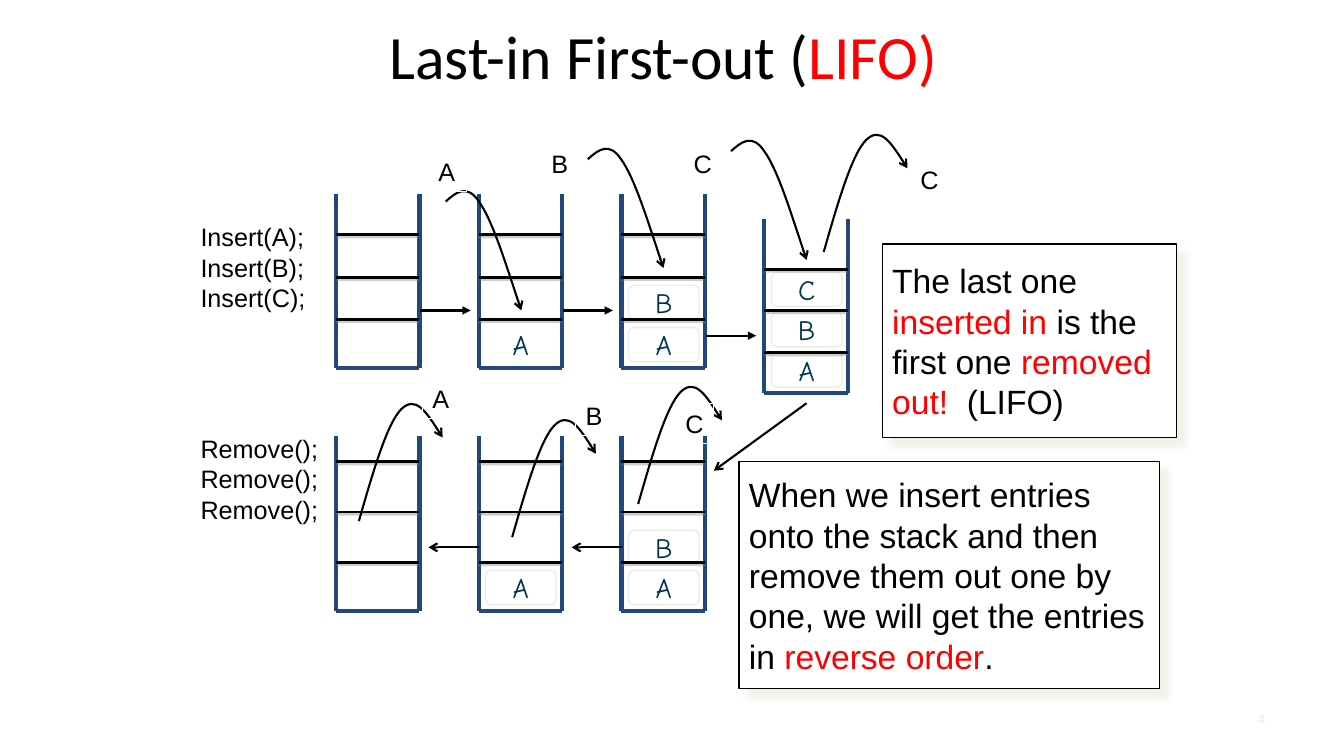
from copy import deepcopy
from dataclasses import dataclass

from lxml.etree import SubElement
from pptx import Presentation
from pptx.dml.color import RGBColor
from pptx.enum.shapes import MSO_CONNECTOR, MSO_SHAPE
from pptx.enum.text import MSO_ANCHOR, PP_ALIGN
from pptx.oxml import parse_xml
from pptx.oxml.ns import nsdecls, qn
from pptx.util import Inches, Pt

BLACK, RED, WHITE, NAVY, INK, CREAM = (
    "000000", "FF0000", "FFFFFF", "1F497D", "00354E", "EEECE1")
WIDE, TALL, PITCH, LEFT = 0.83, 1.73, 1.417, 3.33
BODY = {"name": "Arial", "size": Pt(18)}
LARGE = {"name": "Arial", "size": Pt(24)}
HAND = {"name": "Comic Neue", "size": Pt(20)}
HEAD = {"name": "Calibri", "size": Pt(44)}
SMALL = {"name": "Arial", "size": Pt(10)}
# Bezier points measured from the start of each curved arrow
DROP = [(0.1, -0.09), (0.21, -0.18), (0.33, 0), (0.46, 0.18), (0.6, 0.63), (0.75, 1.08)]
LIFT = [(0.14, -0.49), (0.28, -0.97), (0.42, -1.11), (0.56, -1.25), (0.7, -1.04), (0.83, -0.83)]


@dataclass
class Shade:
    color: str
    alpha: int
    blur: float
    dist: float
    angle: int


@dataclass
class Stack:
    col: int
    top: float
    rungs: tuple
    items: str = ""
    step: float = 0.4
    edge: str = CREAM


@dataclass
class Curve:
    x: float
    y: float
    bend: list


@dataclass
class Label:
    text: str
    x: float
    y: float


@dataclass
class Arrow:
    start: tuple
    end: tuple
    head: str = "triangle"


@dataclass
class Note:
    box: tuple
    runs: list


CARD = Shade(CREAM, 75, 5, 8.5, 45)
RUNG = Shade("808080", 38, 0, 1.6, 90)
UPPER, LOWER = (0.41, 0.83, 1.25), (0.25, 0.75, 1.25)
STACKS = [
    Stack(0, 1.92, UPPER),
    Stack(1, 1.92, UPPER, "A", edge=WHITE),
    Stack(2, 1.92, UPPER, "AB", 0.42),
    Stack(3, 2.17, (0.5, 0.91, 1.33), "ABC"),
    Stack(0, 4.33, LOWER),
    Stack(1, 4.33, LOWER, "A"),
    Stack(2, 4.33, LOWER, "AB"),
]
ARROWS = [
    Arrow((4.17, 3.08), (4.67, 3.08)),
    Arrow((5.58, 3.08), (6.08, 3.08)),
    Arrow((7, 3.33), (7.5, 3.33)),
    Arrow((4.75, 5.43), (4.25, 5.43), "arrow"),
    Arrow((6.17, 5.43), (5.67, 5.43), "arrow"),
    Arrow((8, 4), (7.08, 4.67), "arrow"),
]
CURVES = [
    Curve(4.42, 2, DROP), Curve(5.83, 1.58, DROP), Curve(7.25, 1.5, DROP),
    Curve(6.33, 5, LIFT), Curve(5.08, 5.33, LIFT), Curve(8.17, 2.5, LIFT),
    Curve(3.56, 5.17, LIFT),
]
LABELS = [
    Label("A", 4.25, 1.5), Label("B", 5.37, 1.42), Label("C", 6.78, 1.42),
    Label("C", 9.03, 1.58), Label("C", 6.7, 4), Label("B", 5.71, 3.92),
    Label("A", 4.19, 3.75),
]
NOTES = [
    Note((7.33, 4.58, 4.17, 2.25), [
        ("When we insert entries onto the stack and then remove them out one by "
         "one, we will get the entries in ", BLACK),
        ("reverse order", RED), (".", BLACK)]),
    Note((8.75, 2.42, 2.92, 1.92), [
        ("The last one ", BLACK), ("inserted in ", RED), ("is the first one ", BLACK),
        ("removed out!", RED), ("  (LIFO)", BLACK)]),
]


def rgb(code: str) -> RGBColor:
    return RGBColor.from_string(code)


def style(font, form: dict, color: str) -> None:
    for key, val in form.items():
        setattr(font, key, val)
    font.color.rgb = rgb(color)


def write(para, runs: list, form: dict) -> None:
    for text, color in runs:
        run = para.add_run()
        run.text = text
        style(run.font, form, color)


def finish(shape, color: str, width: float, head: str = "", shade: Shade | None = None) -> None:
    """Set the line, its arrowhead and the shadow, or no shadow."""
    shape.line.color.rgb = rgb(color)
    shape.line.width = Pt(width)
    props = shape._element.spPr
    if head:
        SubElement(props.find(qn("a:ln")), qn("a:tailEnd"), type=head)
    effect = SubElement(props, qn("a:effectLst"))
    if shade:
        cast = SubElement(effect, qn("a:outerShdw"), blurRad=str(Pt(shade.blur)),
                          dist=str(Pt(shade.dist)), dir=str(shade.angle * 60000),
                          algn="tl", rotWithShape="0")
        tint = SubElement(cast, qn("a:srgbClr"), val=shade.color)
        SubElement(tint, qn("a:alpha"), val=str(shade.alpha * 1000))


def line(slide, start: tuple, end: tuple, color: str, width: float, **extra) -> None:
    ends = [Inches(v) for v in (*start, *end)]
    finish(slide.shapes.add_connector(MSO_CONNECTOR.STRAIGHT, *ends), color, width, **extra)


def box(slide, kind, place: tuple, fill: str, edge: str, width: float, **extra):
    shape = slide.shapes.add_shape(kind, *[Inches(v) for v in place])
    if fill:
        shape.fill.solid()
        shape.fill.fore_color.rgb = rgb(fill)
    else:
        shape.fill.background()
    finish(shape, edge, width, **extra)
    return shape


def draw_stack(slide, stack: Stack) -> None:
    left = LEFT + PITCH * stack.col
    right, base = left + WIDE, stack.top + TALL
    for i, item in enumerate(stack.items):
        place = (left + 0.07, stack.top + 1.33 - stack.step * i, 0.7, 0.34)
        cell = box(slide, MSO_SHAPE.ROUNDED_RECTANGLE, place, WHITE, stack.edge, 1)
        frame = cell.text_frame
        frame.word_wrap = False
        frame.vertical_anchor = MSO_ANCHOR.MIDDLE
        frame.paragraphs[0].alignment = PP_ALIGN.CENTER
        write(frame.paragraphs[0], [(item, INK)], HAND)
    for x in (left, right):
        line(slide, (x, stack.top), (x, base), NAVY, 3)
    line(slide, (left, base), (right, base), NAVY, 3)
    for gap in stack.rungs:
        y = stack.top + gap
        line(slide, (left, y), (right, y), BLACK, 2, shade=RUNG)


def draw_curve(slide, curve: Curve) -> None:
    """Build an open outline and join each three points as a Bezier curve."""
    pen = slide.shapes.build_freeform(Inches(curve.x), Inches(curve.y))
    pen.add_line_segments(
        [(Inches(curve.x + dx), Inches(curve.y + dy)) for dx, dy in curve.bend], close=False)
    shape = pen.convert_to_shape()
    shape.fill.background()
    finish(shape, BLACK, 1.5, "arrow")
    steps = list(shape._element.iter(qn("a:lnTo")))
    track = steps[0].getparent()
    for i in range(0, len(steps), 3):
        arc = SubElement(track, qn("a:cubicBezTo"))
        for step in steps[i:i + 3]:
            arc.append(deepcopy(step[0]))
            track.remove(step)


def draw_note(slide, note: Note) -> None:
    frame = box(slide, MSO_SHAPE.RECTANGLE, note.box, WHITE, BLACK, 1, shade=CARD).text_frame
    frame.word_wrap = True
    frame.vertical_anchor = MSO_ANCHOR.MIDDLE
    para = frame.paragraphs[0]
    para.alignment, para.line_spacing = PP_ALIGN.LEFT, Pt(28.8)
    write(para, note.runs, LARGE)


def draw_label(slide, label: Label) -> None:
    place = (label.x, label.y, 0.38, 0.4)
    frame = box(slide, MSO_SHAPE.RECTANGLE, place, "", WHITE, 0.75).text_frame
    frame.word_wrap = False
    frame.vertical_anchor = MSO_ANCHOR.TOP
    frame.paragraphs[0].alignment = PP_ALIGN.LEFT
    write(frame.paragraphs[0], [(label.text, BLACK)], BODY)


def draw_title(slide) -> None:
    title = slide.shapes.title
    title.left, title.top, title.width, title.height = [
        Inches(v) for v in (2.08, -0.08, 9, 1.25)]
    title.text_frame.vertical_anchor = MSO_ANCHOR.MIDDLE
    para = title.text_frame.paragraphs[0]
    para.alignment = PP_ALIGN.CENTER
    write(para, [("Last-in First-out (", BLACK), ("LIFO)", RED)], HEAD)


def draw_calls(slide) -> None:
    area = [Inches(v) for v in (1.89, 2.15, 1.38, 3.43)]
    frame = slide.shapes.add_textbox(*area).text_frame
    frame.word_wrap = False
    calls = [f"Insert({name});" for name in "ABC"] + ["Remove();"] * 3
    for i, call in enumerate(calls):
        para = frame.add_paragraph() if i else frame.paragraphs[0]
        para.line_spacing = Pt(21.6)
        if i == 3:
            para.space_before = Pt(86.4)
        write(para, [(call, BLACK)], BODY)


def draw_number(slide) -> None:
    area = [Inches(v) for v in (12.15, 7, 0.5, 0.3)]
    para = slide.shapes.add_textbox(*area).text_frame.paragraphs[0]
    para.alignment = PP_ALIGN.RIGHT
    write(para, [("4", CREAM)], SMALL)


def main() -> None:
    deck = Presentation()
    deck.slide_width, deck.slide_height = Inches(13.33), Inches(7.5)
    slide = deck.slides.add_slide(deck.slide_layouts[5])
    draw_title(slide)
    for stack in STACKS:
        draw_stack(slide, stack)
    for arrow in ARROWS:
        line(slide, arrow.start, arrow.end, BLACK, 1.5, head=arrow.head)
    for note in NOTES:
        draw_note(slide, note)
    draw_calls(slide)
    for curve in CURVES:
        draw_curve(slide, curve)
    for label in LABELS:
        draw_label(slide, label)
    draw_number(slide)
    deck.save("out.pptx")


if __name__ == "__main__":
    main()
